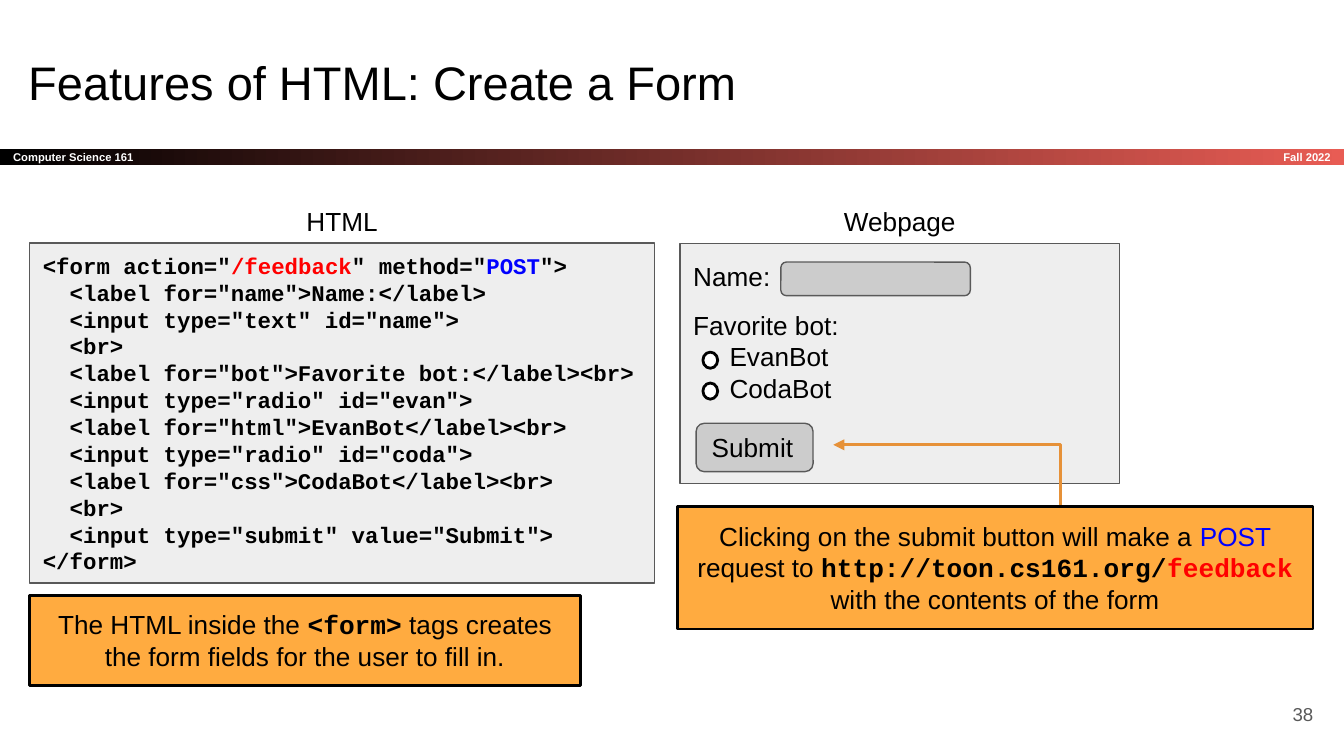
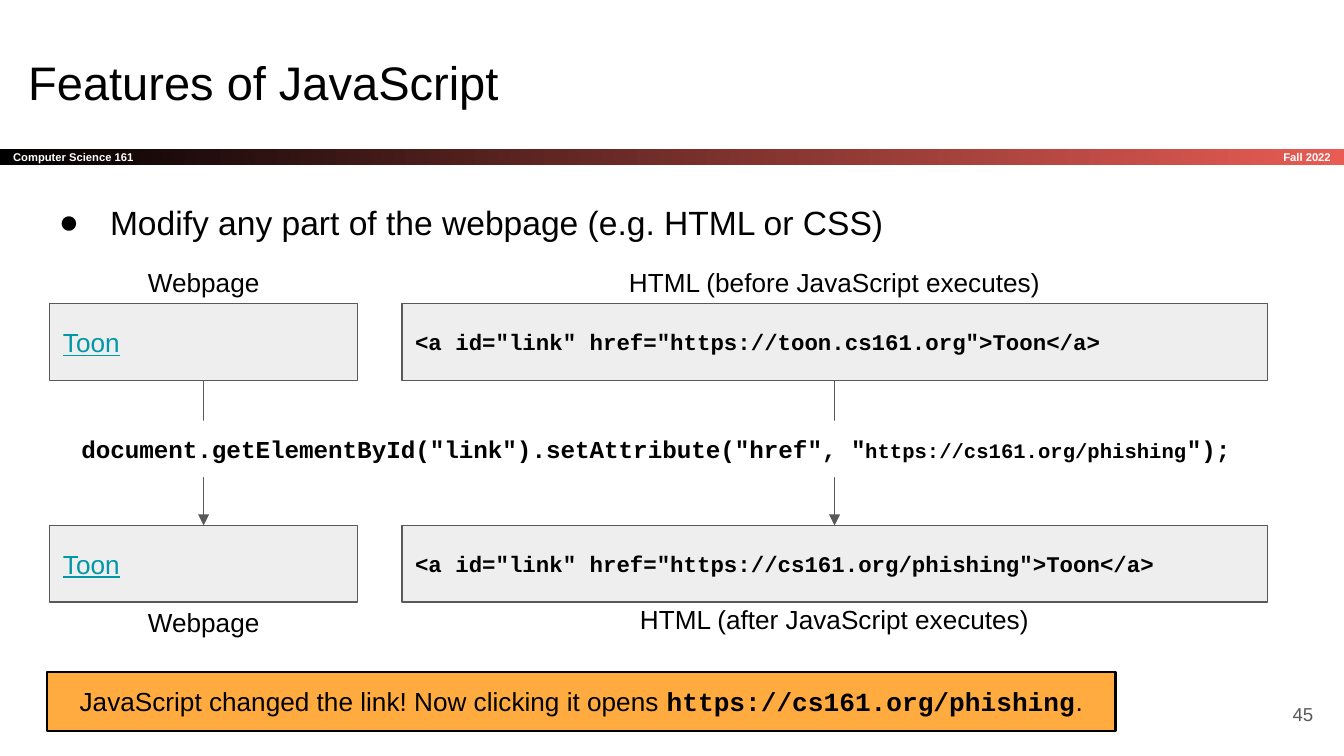
"""Build two lecture slides about HTML forms and JavaScript."""
from dataclasses import dataclass, replace

from lxml import etree
from pptx import Presentation
from pptx import util as u
from pptx.dml.color import RGBColor
from pptx.enum import shapes, text
from pptx.oxml import ns

BLACK = RGBColor(0x00, 0x00, 0x00)
WHITE = RGBColor(0xFF, 0xFF, 0xFF)
RED = RGBColor(0xFF, 0x00, 0x00)
BLUE = RGBColor(0x00, 0x00, 0xFF)
TEAL = RGBColor(0x00, 0x97, 0xA7)
CORAL = RGBColor(0xE8, 0x5C, 0x54)
GRAY = RGBColor(0x59, 0x59, 0x59)
PANEL = RGBColor(0xEE, 0xEE, 0xEE)
CONTROL = RGBColor(0xCC, 0xCC, 0xCC)
CALLOUT = RGBColor(0xFF, 0xAB, 0x40)
ARROW = RGBColor(0xE6, 0x91, 0x38)

LEFT, CENTER, RIGHT = text.PP_ALIGN.LEFT, text.PP_ALIGN.CENTER, text.PP_ALIGN.RIGHT
TOP, MIDDLE = text.MSO_ANCHOR.TOP, text.MSO_ANCHOR.MIDDLE
RECT = shapes.MSO_SHAPE.RECTANGLE
ROUND = shapes.MSO_SHAPE.ROUNDED_RECTANGLE
OVAL = shapes.MSO_SHAPE.OVAL


@dataclass(frozen=True)
class Style:
    """Look of one run of text."""
    size: float = 14
    color: RGBColor = BLACK
    font: str = "Arial"
    bold: bool = False
    underline: bool = False


BODY = Style()
TITLE = Style(25.2)
BULLET = Style(18)
BAND = Style(6, WHITE, bold=True)
NUMBER = Style(10, GRAY)
LINK = Style(color=TEAL, underline=True)
MONO = Style(font="Courier New", bold=True)
CODE = replace(MONO, size=12)
SCRIPT = replace(MONO, size=13)

WIDTH = 10
HEIGHT = WIDTH * 9 / 16
MARGIN = 0.22
BAND_TOP, BAND_HEIGHT = 1.11, 0.12
LABEL_HEIGHT, LABEL_RISE = 0.44, 0.38

FORM_CODE = [
    [('<form action="', CODE), ("/feedback", replace(CODE, color=RED)),
     ('" method="', CODE), ("POST", replace(CODE, color=BLUE)), ('">', CODE)],
] + [[(line, CODE)] for line in (
    '  <label for="name">Name:</label>',
    '  <input type="text" id="name">',
    "  <br>",
    '  <label for="bot">Favorite bot:</label><br>',
    '  <input type="radio" id="evan">',
    '  <label for="html">EvanBot</label><br>',
    '  <input type="radio" id="coda">',
    '  <label for="css">CodaBot</label><br>',
    "  <br>",
    '  <input type="submit" value="Submit">',
    "</form>",
)]
FORM_FIELDS = [[(line, BODY)] for line in ("Name:", "Favorite bot:", "EvanBot", "CodaBot")]
FORM_NOTE = [[("The HTML inside the ", BODY), ("<form>", MONO),
              (" tags creates the form fields for the user to fill in.", BODY)]]
SUBMIT_NOTE = [[("Clicking on the submit button will make a ", BODY),
                ("POST", replace(BODY, color=BLUE)), (" request to ", BODY),
                ("http://toon.cs161.org/", MONO),
                ("feedback ", replace(MONO, color=RED)),
                ("with the contents of the form", BODY)]]

STATES = [
    (2.26, 1.88, 1.88, "HTML (before JavaScript executes)",
     '<a id="link" href="https://toon.cs161.org">Toon</a>'),
    (3.91, 4.41, 4.39, "HTML (after JavaScript executes)",
     '<a id="link" href="https://cs161.org/phishing">Toon</a>'),
]
SCRIPT_LINE = [[('document.getElementById("link").setAttribute("href", "', SCRIPT),
                ("https://cs161.org/phishing", replace(MONO, size=11)), ('");', SCRIPT)]]
LINK_NOTE = [[("JavaScript changed the link! Now clicking it opens ", BODY),
              ("https://cs161.org/phishing", MONO), (".", BODY)]]


def write(shape, paragraphs, align=LEFT, anchor=TOP):
    """Fill a shape with paragraphs of (text, style) runs."""
    frame = shape.text_frame
    frame.word_wrap = True
    frame.auto_size = text.MSO_AUTO_SIZE.NONE
    frame.vertical_anchor = anchor
    frame.margin_left = frame.margin_right = u.Inches(0.1)
    frame.margin_top = frame.margin_bottom = u.Inches(0.1)
    for index, runs in enumerate(paragraphs):
        paragraph = frame.add_paragraph() if index else frame.paragraphs[0]
        paragraph.alignment = align
        for words, style in runs:
            run = paragraph.add_run()
            run.text = words
            font = run.font
            font.name, font.size, font.bold = style.font, u.Pt(style.size), style.bold
            font.color.rgb = style.color
            if style.underline:
                font.underline = True
    return frame


def add_text(slide, box, paragraphs, align=LEFT, anchor=TOP):
    """Add a text box and return its text frame."""
    shape = slide.shapes.add_textbox(*map(u.Inches, box))
    return write(shape, paragraphs, align, anchor)


def add_box(slide, kind, box, fill, line=GRAY, weight=0.75):
    """Add a flat preset shape."""
    shape = slide.shapes.add_shape(kind, *map(u.Inches, box))
    shape.shadow.inherit = False
    if fill is not None:
        shape.fill.solid()
        shape.fill.fore_color.rgb = fill
    if line is None:
        shape.line.fill.background()
    else:
        shape.line.color.rgb = line
        shape.line.width = u.Pt(weight)
    return shape


def add_panel(slide, box, paragraphs, anchor=MIDDLE):
    """Add a light gray panel of text."""
    return write(add_box(slide, RECT, box, PANEL), paragraphs, LEFT, anchor)


def add_label(slide, left, top, width, words):
    """Add a centred caption."""
    add_text(slide, (left, top, width, LABEL_HEIGHT), [[(words, BODY)]], CENTER)


def add_callout(slide, box, paragraphs):
    """Add an orange note with a black border."""
    write(add_box(slide, RECT, box, CALLOUT, BLACK, 1.5), paragraphs, CENTER)


def add_arrowhead(shape):
    """Put a triangle at the end of a line."""
    etree.SubElement(shape.line._get_or_add_ln(), ns.qn("a:tailEnd"), type="triangle")


def add_arrow(slide, x, top, bottom):
    """Add a thin downward arrow."""
    connector = slide.shapes.add_connector(
        shapes.MSO_CONNECTOR.STRAIGHT, *map(u.Inches, (x, top, x, bottom)))
    connector.line.color.rgb = GRAY
    connector.line.width = u.Pt(0.75)
    add_arrowhead(connector)
    etree.SubElement(connector._element.spPr, ns.qn("a:effectLst"))


def add_slide(presentation, title, number):
    """Add a slide with its title, band and page number."""
    slide = presentation.slides.add_slide(presentation.slide_layouts[5])
    band = add_box(slide, RECT, (0, BAND_TOP, WIDTH, BAND_HEIGHT), None, None)
    band.fill.gradient()
    band.fill.gradient_angle = 0
    for stop, position, color in zip(band.fill.gradient_stops, (0, 1), (BLACK, CORAL)):
        stop.position = position
        stop.color.rgb = color
    write(band, [[("Computer Science 161", BAND)]], LEFT, MIDDLE)
    add_text(slide, (8.34, BAND_TOP, WIDTH - 8.34, BAND_HEIGHT),
             [[("Fall 2022", BAND)]], RIGHT, MIDDLE)
    heading = slide.shapes.title
    heading.left, heading.top, heading.width, heading.height = map(
        u.Inches, (0.11, 0.3, 9.32, 0.63))
    write(heading, [[(title, TITLE)]])
    add_text(slide, (9.27, 5.1, 0.6, 0.43), [[(number, NUMBER)]], RIGHT, MIDDLE)
    return slide


def build_form_slide(presentation):
    """Show form code beside the page it makes."""
    slide = add_slide(presentation, "Features of HTML: Create a Form", "38")
    top = 1.81
    code = (MARGIN, top, 4.65, 2.53)
    page = (5.06, top, 3.27, 1.79)
    add_panel(slide, code, FORM_CODE)
    fields = add_panel(slide, page, FORM_FIELDS, TOP)
    fields.margin_top = u.Inches(0.13)
    fields.paragraphs[1].space_before = u.Pt(9.2)
    for paragraph in fields.paragraphs[2:]:
        paragraph._p.get_or_add_pPr().set("marL", str(u.Inches(0.27)))
    for box, words in ((code, "HTML"), (page, "Webpage")):
        add_label(slide, box[0], top - LABEL_RISE, box[2], words)

    button = add_box(slide, ROUND, (5.18, 3.15, 0.87, 0.36), CONTROL)
    write(button, [[("Submit", BODY)]], LEFT, MIDDLE)
    for row in range(2):
        add_box(slide, OVAL, (5.23, 2.62 + 0.23 * row, 0.11, 0.12), WHITE, BLACK, 1.5)

    builder = slide.shapes.build_freeform(u.Inches(7.89), u.Inches(4.13))
    builder.add_line_segments(
        [(u.Inches(x), u.Inches(3.31)) for x in (7.89, 6.2)], close=False)
    pointer = builder.convert_to_shape()
    pointer.shadow.inherit = False
    pointer.fill.background()
    pointer.line.color.rgb = ARROW
    pointer.line.width = u.Pt(1.5)
    add_arrowhead(pointer)

    add_callout(slide, (5.04, 3.77, 4.73, 0.91), SUBMIT_NOTE)
    add_box(slide, ROUND, (5.81, 1.95, 1.41, 0.25), CONTROL)
    add_callout(slide, (MARGIN, 4.43, 4.1, 0.67), FORM_NOTE)


def build_script_slide(presentation):
    """Show a link before and after a script changes it."""
    slide = add_slide(presentation, "Features of JavaScript", "45")
    frame = add_text(slide, (MARGIN, 1.36, 9.32, 0.57),
                     [[("Modify any part of the webpage (e.g. HTML or CSS)", BULLET)]])
    paragraph = frame.paragraphs[0]
    properties = paragraph._p.get_or_add_pPr()
    properties.set("marL", str(u.Inches(0.5)))
    properties.set("indent", str(u.Inches(-0.38)))
    color = etree.SubElement(properties, ns.qn("a:buClr"))
    etree.SubElement(color, ns.qn("a:srgbClr"), val=str(BLACK))
    etree.SubElement(properties, ns.qn("a:buSzPts"), val="1800")
    etree.SubElement(properties, ns.qn("a:buFont"), typeface=BULLET.font)
    etree.SubElement(properties, ns.qn("a:buChar"), char="●")
    paragraph.line_spacing = 1.15

    page_left, page_width = 0.37, 2.29
    code_left, code_width = 2.99, 6.44
    height = 0.57
    for top, page_label, code_label, caption, code in STATES:
        add_panel(slide, (page_left, top, page_width, height), [[("Toon", LINK)]])
        add_label(slide, page_left, page_label, page_width, "Webpage")
        add_panel(slide, (code_left, top, code_width, height), [[(code, CODE)]])
        add_label(slide, code_left, code_label, code_width, caption)
    before, after = (state[0] for state in STATES)
    for left, width in ((page_left, page_width), (code_left, code_width)):
        add_arrow(slide, left + width / 2, before + height, after)
    cover = add_box(slide, RECT, (0.35, 3.13, 9.06, 0.42), WHITE, None)
    write(cover, SCRIPT_LINE, CENTER)
    add_callout(slide, (0.35, 5, 7.95, 0.44), LINK_NOTE)


def main():
    """Create and save the presentation."""
    presentation = Presentation()
    presentation.slide_width = u.Inches(WIDTH)
    presentation.slide_height = u.Inches(HEIGHT)
    build_form_slide(presentation)
    build_script_slide(presentation)
    presentation.save("out.pptx")


if __name__ == "__main__":
    main()
